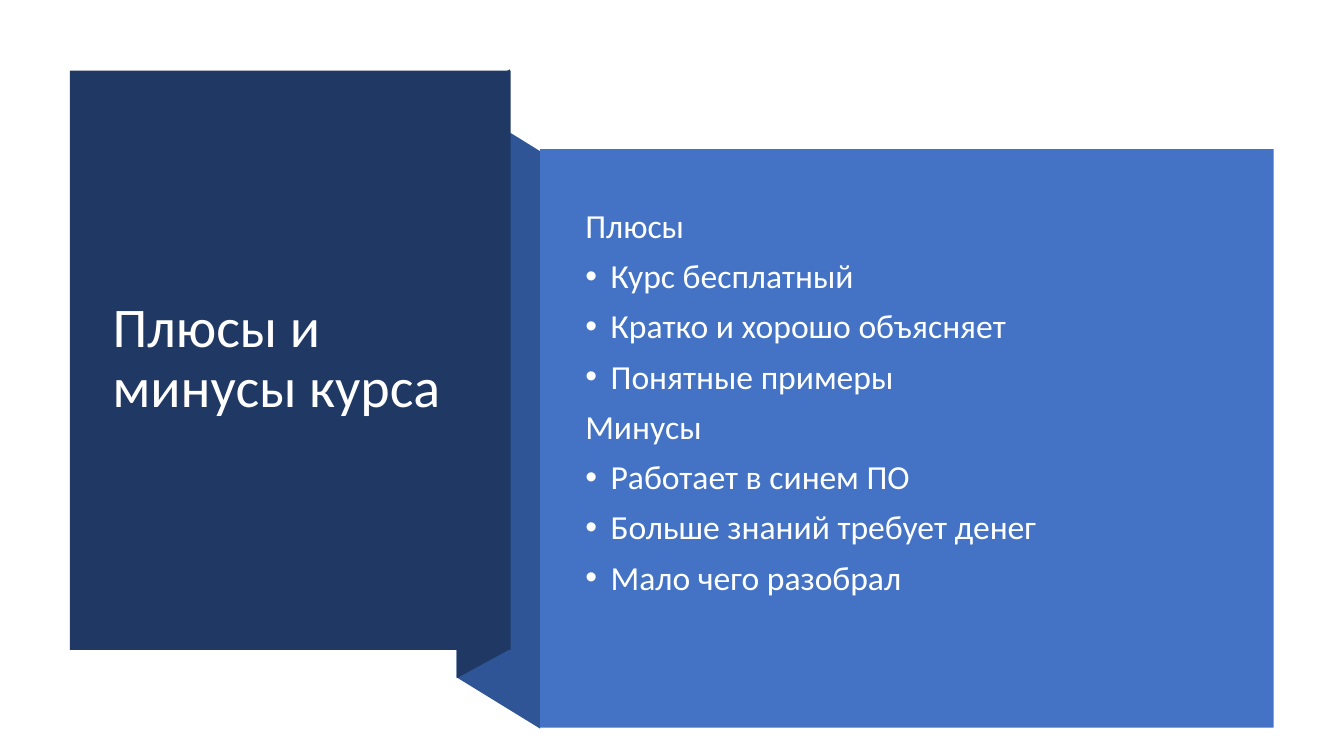
from dataclasses import dataclass

from lxml import etree
from pptx import Presentation
from pptx.dml.color import RGBColor
from pptx.enum.shapes import MSO_SHAPE
from pptx.enum.text import MSO_ANCHOR
from pptx.oxml.ns import qn
from pptx.util import Cm, Pt

RECT = MSO_SHAPE.RECTANGLE
MIDDLE = MSO_ANCHOR.MIDDLE

WHITE = RGBColor(0xFF, 0xFF, 0xFF)
SOFT_WHITE = RGBColor(0xFE, 0xFF, 0xFF)
NAVY = RGBColor(0x20, 0x38, 0x64)
DEEP_BLUE = RGBColor(0x2F, 0x55, 0x97)
BLUE = RGBColor(0x44, 0x72, 0xC4)
INDENT = Cm(0.64)


@dataclass
class Fold:
    points: list[tuple[float, float]]
    color: RGBColor


@dataclass
class Panel:
    box: tuple[float, float, float, float]
    color: RGBColor


@dataclass
class Line:
    text: str
    bullet: bool = False


@dataclass
class TextBlock:
    box: tuple[float, float, float, float]
    lines: list[Line]
    size: int
    color: RGBColor
    space_before: int = 0


FOLDS = [
    Fold([(13.61, 18.36), (11.51, 17.07), (11.51, 2.51), (13.61, 3.81)], DEEP_BLUE),
    Fold([(12.85, 16.36), (11.51, 17.09), (11.51, 2.49), (12.85, 1.75)], NAVY),
]
PANELS = [
    Panel((1.76, 1.78, 11.11, 14.6), NAVY),
    Panel((13.61, 3.76, 18.49, 14.58), BLUE),
]
GROUPS = {
    "Плюсы": ["Курс бесплатный", "Кратко и хорошо объясняет", "Понятные примеры"],
    "Минусы": ["Работает в синем ПО", "Больше знаний требует денег", "Мало чего разобрал"],
}
LIST_LINES = [
    line
    for heading, items in GROUPS.items()
    for line in [Line(heading), *(Line(item, True) for item in items)]
]
TEXTS = [
    TextBlock((2.59, 2.72, 9.42, 12.67), [Line("Плюсы и минусы курса")], 40, WHITE),
    TextBlock((14.5, 4.78, 16.54, 10.77), LIST_LINES, 24, SOFT_WHITE, 10),
]


def paint(sp, color: RGBColor) -> None:
    sp.shadow.inherit = False
    sp.fill.solid()
    sp.fill.fore_color.rgb = color
    sp.line.fill.background()


def draw_fold(s, fold: Fold) -> None:
    start, *rest = [(Cm(x), Cm(y)) for x, y in fold.points]
    builder = s.shapes.build_freeform(*start)
    builder.add_line_segments(rest, close=True)
    paint(builder.convert_to_shape(), fold.color)


def draw_panel(s, panel: Panel) -> None:
    paint(s.shapes.add_shape(RECT, *map(Cm, panel.box)), panel.color)


def add_bullet(p) -> None:
    pPr = p._p.get_or_add_pPr()
    pPr.set("marL", str(INDENT))
    pPr.set("indent", str(-INDENT))
    etree.SubElement(pPr, qn("a:buFont")).set("typeface", "Arial")
    etree.SubElement(pPr, qn("a:buChar")).set("char", "•")


def draw_text(s, block: TextBlock) -> None:
    tf = s.shapes.add_textbox(*map(Cm, block.box)).text_frame
    tf.word_wrap = True
    tf.vertical_anchor = MIDDLE
    font_format = {"name": "Calibri", "size": Pt(block.size)}
    for i, line in enumerate(block.lines):
        p = tf.add_paragraph() if i else tf.paragraphs[0]
        p.line_spacing = 0.9
        p.space_before = Pt(block.space_before)
        if line.bullet:
            add_bullet(p)
        r = p.add_run()
        r.text = line.text
        for name, value in font_format.items():
            setattr(r.font, name, value)
        r.font.color.rgb = block.color


def main() -> None:
    prs = Presentation()
    prs.slide_width, prs.slide_height = Cm(33.87), Cm(19.05)
    s = prs.slides.add_slide(prs.slide_layouts[6])

    # Folded ribbon behind the panels
    for fold in FOLDS:
        draw_fold(s, fold)

    # Title and list panels
    for panel in PANELS:
        draw_panel(s, panel)

    # Title and list of pros and cons
    for block in TEXTS:
        draw_text(s, block)

    prs.save("out.pptx")


if __name__ == "__main__":
    main()
